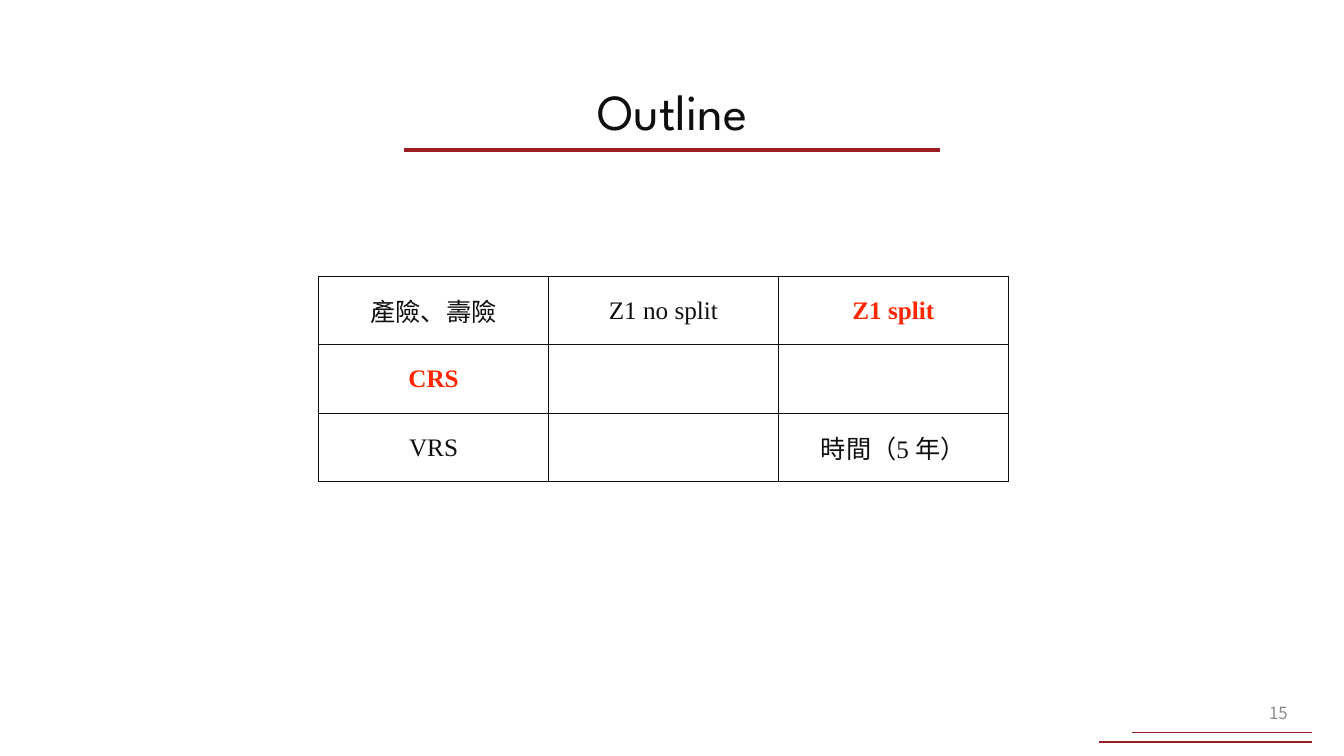
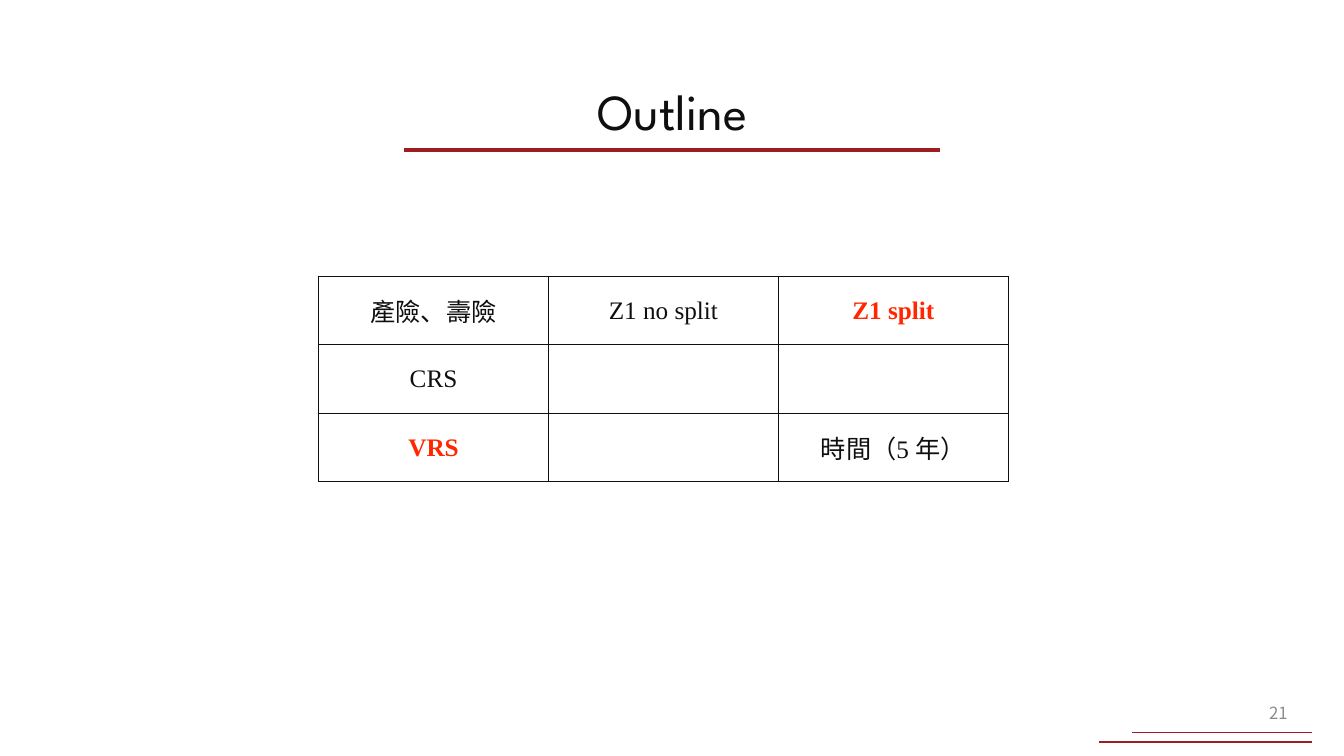
from dataclasses import dataclass

from lxml.etree import SubElement
from pptx import Presentation
from pptx.dml.color import RGBColor
from pptx.enum.shapes import MSO_CONNECTOR
from pptx.enum.text import MSO_ANCHOR, PP_ALIGN
from pptx.oxml import parse_xml
from pptx.oxml.ns import nsdecls, qn
from pptx.util import Pt

TITLE = "Outline"
GRID = [
    ["產險、壽險", "Z1 no split", "Z1 split"],
    ["CRS", "", ""],
    ["VRS", "", "時間（5 年）"],
]
SLIDES = [
    {"number": "15", "highlights": {"Z1 split", "CRS"}},
    {"number": "21", "highlights": {"Z1 split", "VRS"}},
]

EMU_PER_PX = 9144
SLIDE_SIZE = (1333, 750)
TITLE_BOX = (569, 75, 196, 71)
NUMBER_BOX = (1140, 687, 147, 40)
GRID_ORIGIN = (316, 274)
CELL_SIZE = (228, 68)
RULES = [
    (401, 932, 149, 2.5),
    (1090, 1301, 736, 1.5),
    (1123, 1301, 727, 1),
]


@dataclass(frozen=True)
class Theme:
    ink: str = "0F0F0F"
    accent: str = "9C1D22"
    highlight: str = "FF2600"
    muted: str = "8C8C8C"
    title_font: str = "League Spartan"
    body_font: str = "Times New Roman"
    asian_font: str = "Noto Sans CJK TC"
    title_size: int = 36
    body_size: int = 18
    number_size: int = 12
    border_width: int = 1


THEME = Theme()


def px(*lengths):
    return [length * EMU_PER_PX for length in lengths]


def write(frame, text, font, size, color, align, bold=False):
    paragraph = frame.paragraphs[0]
    paragraph.alignment = align
    run = paragraph.add_run()
    run.text = text
    run.font.size = Pt(size)
    run.font.bold = bold
    run.font.color.rgb = RGBColor.from_string(color)
    run.font.name = font
    SubElement(run.font._element, qn("a:ea"), typeface=THEME.asian_font)


def add_rule(slide, left, right, y, width):
    rule = slide.shapes.add_connector(MSO_CONNECTOR.STRAIGHT, *px(left, y, right, y))
    rule.line.color.rgb = RGBColor.from_string(THEME.accent)
    rule.line.width = Pt(width)
    SubElement(rule._element.spPr, qn("a:effectLst"))


def add_frame(slide):
    for rule in RULES:
        add_rule(slide, *rule)
    title = slide.shapes.add_textbox(*px(*TITLE_BOX)).text_frame
    title.word_wrap = False
    write(title, TITLE, THEME.title_font, THEME.title_size, THEME.ink, PP_ALIGN.CENTER)


def add_number(slide, number):
    frame = slide.shapes.add_textbox(*px(*NUMBER_BOX)).text_frame
    frame.word_wrap = True
    frame.vertical_anchor = MSO_ANCHOR.MIDDLE
    write(frame, number, THEME.asian_font, THEME.number_size, THEME.muted, PP_ALIGN.RIGHT)


def outline_cell(cell):
    properties = cell._tc.get_or_add_tcPr()
    for position, side in enumerate(("lnL", "lnR", "lnT", "lnB")):
        border = parse_xml(
            f'<a:{side} {nsdecls("a")} w="{Pt(THEME.border_width)}">'
            f'<a:solidFill><a:srgbClr val="{THEME.ink}"/></a:solidFill></a:{side}>'
        )
        properties.insert(position, border)


def add_grid(slide, highlights):
    rows, columns = len(GRID), len(GRID[0])
    width, height = CELL_SIZE
    grid = slide.shapes.add_table(
        rows, columns, *px(*GRID_ORIGIN, columns * width, rows * height)
    ).table
    grid.first_row = False
    grid.horz_banding = False
    for cell, text in zip(grid.iter_cells(), sum(GRID, [])):
        cell.fill.background()
        cell.vertical_anchor = MSO_ANCHOR.MIDDLE
        outline_cell(cell)
        if text:
            active = text in highlights
            color = THEME.highlight if active else THEME.ink
            write(cell.text_frame, text, THEME.body_font, THEME.body_size,
                  color, PP_ALIGN.CENTER, active)


def main():
    deck = Presentation()
    deck.slide_width, deck.slide_height = px(*SLIDE_SIZE)
    for content in SLIDES:
        slide = deck.slides.add_slide(deck.slide_layouts[6])
        add_frame(slide)
        add_number(slide, content["number"])
        add_grid(slide, content["highlights"])
    deck.save("out.pptx")


if __name__ == "__main__":
    main()
